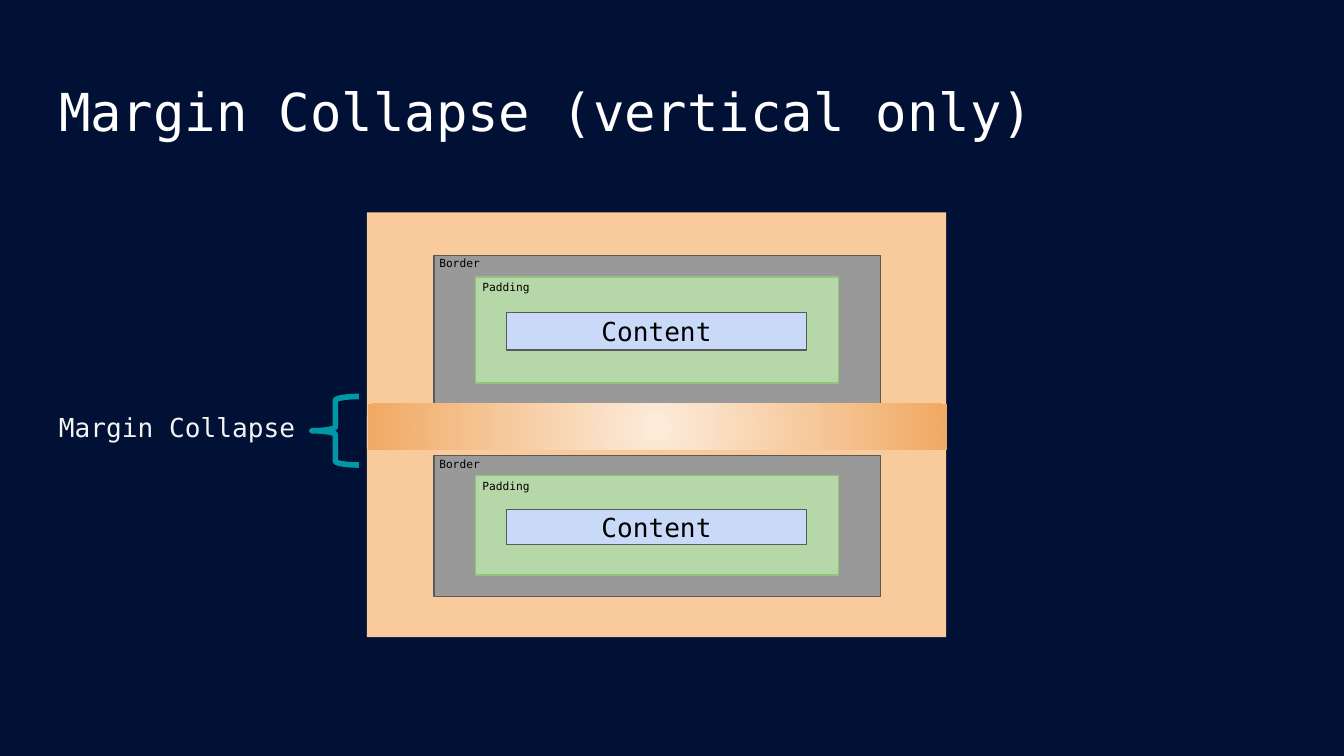
"""Build a slide showing how vertical margins collapse between two boxes."""
from dataclasses import dataclass
from typing import Optional

from lxml import etree
from pptx import Presentation
from pptx.dml.color import RGBColor
from pptx.enum import shapes, text
from pptx.oxml import ns
from pptx.util import Inches, Pt


@dataclass(frozen=True)
class Theme:
    """Hold the colours and type sizes of the slide."""
    font: str = "DejaVu Sans Mono"
    background: str = "011035"
    title: str = "FFFFFF"
    caption: str = "F3F3F3"
    ink: str = "000000"
    margin: str = "F9CB9C"
    border: str = "999999"
    padding: str = "B6D7A8"
    padding_line: str = "93C47D"
    content: str = "C9DAF8"
    outline: str = "595959"
    brace: str = "0097A7"
    glow: tuple[str, str] = ("FDECDB", "F0A963")
    title_size: float = 28
    body_size: float = 14
    label_size: float = 6
    thin: float = 0.75
    thick: float = 3


@dataclass(frozen=True)
class Layer:
    """Describe one nested rectangle, with its top measured from the box."""
    left: float
    top: float
    width: float
    height: float
    fill: str
    line: Optional[str] = None
    label: str = ""


@dataclass(frozen=True)
class Label:
    """Describe a corner label, with its top measured from the box."""
    text: str
    left: float
    top: float
    height: float


@dataclass(frozen=True)
class Box:
    """Place one box model on the slide."""
    top: float
    height: float


THEME = Theme()
MARGIN_LEFT, MARGIN_WIDTH = 2.73, 4.31
BASE_HEIGHT = 1.65
LABEL_WIDTH = 0.79
LAYERS = (
    Layer(MARGIN_LEFT, 0, MARGIN_WIDTH, BASE_HEIGHT, THEME.margin),
    Layer(3.23, 0.3, 3.32, 1.05, THEME.border, THEME.outline),
    Layer(3.54, 0.45, 2.7, 0.74, THEME.padding, THEME.padding_line),
    Layer(3.77, 0.7, 2.23, 0.26, THEME.content, THEME.outline, "Content"),
)
LABELS = (Label("Border", 3.17, 0.21, 0.36), Label("Padding", 3.49, 0.38, 0.26))
LOWER, UPPER = Box(3.09, BASE_HEIGHT), Box(1.58, 1.76)


def rgb(value: str) -> RGBColor:
    """Turn a hex string into a colour."""
    return RGBColor.from_string(value)


def write(sp, words: str, *, size: float, color: str,
          align=text.PP_ALIGN.LEFT, anchor=text.MSO_ANCHOR.TOP) -> None:
    """Put formatted text into a shape."""
    tf = sp.text_frame
    tf.word_wrap = True
    tf.auto_size = text.MSO_AUTO_SIZE.NONE
    tf.vertical_anchor = anchor
    tf.margin_left = tf.margin_right = tf.margin_top = tf.margin_bottom = Inches(0.1)
    p = tf.paragraphs[0]
    p.alignment = align
    r = p.add_run()
    r.text = words
    r.font.name = THEME.font
    r.font.size = Pt(size)
    r.font.color.rgb = rgb(color)


def add_shape(parent, kind, left: float, top: float, width: float, height: float, *,
              fill: Optional[str] = None, line: Optional[str] = None,
              weight: float = THEME.thin):
    """Add a preset shape with a plain fill and outline."""
    sp = parent.add_shape(kind, Inches(left), Inches(top), Inches(width), Inches(height))
    sp.shadow.inherit = False
    if fill:
        sp.fill.solid()
        sp.fill.fore_color.rgb = rgb(fill)
    else:
        sp.fill.background()
    if line:
        sp.line.color.rgb = rgb(line)
        sp.line.width = Pt(weight)
    else:
        sp.line.fill.background()
    return sp


def add_text(parent, words: str, left: float, top: float, width: float,
             height: float, *, size: float, color: str) -> None:
    """Add a text box."""
    sp = parent.add_textbox(Inches(left), Inches(top), Inches(width), Inches(height))
    write(sp, words, size=size, color=color)


def add_box(slide, box: Box) -> None:
    """Draw a grouped box model scaled to the height of its box."""
    group = slide.shapes.add_group_shape().shapes
    scale = box.height / BASE_HEIGHT
    for layer in LAYERS:
        sp = add_shape(group, shapes.MSO_SHAPE.RECTANGLE, layer.left,
                       box.top + layer.top * scale, layer.width, layer.height * scale,
                       fill=layer.fill, line=layer.line)
        if layer.label:
            write(sp, layer.label, size=THEME.body_size, color=THEME.ink,
                  align=text.PP_ALIGN.CENTER, anchor=text.MSO_ANCHOR.MIDDLE)
    for label in LABELS:
        add_text(group, label.text, label.left, box.top + label.top * scale,
                 LABEL_WIDTH, label.height * scale,
                 size=THEME.label_size, color=THEME.ink)


def add_title(slide, words: str) -> None:
    """Move and fill the title placeholder."""
    sp = slide.shapes.title
    sp.left, sp.top, sp.width, sp.height = map(Inches, (0.34, 0.49, 9.32, 0.63))
    write(sp, words, size=THEME.title_size, color=THEME.title)


def add_brace(slide) -> None:
    """Draw the brace that marks the collapsed margin."""
    sp = add_shape(slide.shapes, shapes.MSO_SHAPE.RIGHT_BRACE, 2.32, 2.95, 0.35, 0.51,
                   line=THEME.brace, weight=THEME.thick)
    sp.adjustments[0], sp.adjustments[1] = 0.083, 0.5
    sp.rotation = 180


def add_glow(slide) -> None:
    """Draw the collapsed margin as a band with a radial gradient."""
    sp = add_shape(slide.shapes, shapes.MSO_SHAPE.RECTANGLE, 4.72, 1.02, 0.34, MARGIN_WIDTH)
    sp.rotation = 270
    sp.fill.gradient()
    for stop, color, position in zip(sp.fill.gradient_stops, THEME.glow, (0, 1)):
        stop.color.rgb = rgb(color)
        stop.position = position
    grad = sp.element.spPr.find(ns.qn("a:gradFill"))
    grad.remove(grad.find(ns.qn("a:lin")))
    radial = etree.SubElement(grad, ns.qn("a:path"), {"path": "circle"})
    etree.SubElement(radial, ns.qn("a:fillToRect"), dict.fromkeys("ltrb", "50000"))


def main() -> None:
    """Build and save the slide."""
    prs = Presentation()
    prs.slide_width = Inches(10)
    prs.slide_height = prs.slide_width * 9 // 16
    slide = prs.slides.add_slide(prs.slide_layouts[5])
    slide.background.fill.solid()
    slide.background.fill.fore_color.rgb = rgb(THEME.background)
    add_title(slide, "Margin Collapse (vertical only)")
    add_box(slide, LOWER)
    add_text(slide.shapes, "Margin Collapse", 0.34, 2.96, 1.98, 0.44,
             size=THEME.body_size, color=THEME.caption)
    add_brace(slide)
    add_box(slide, UPPER)
    add_glow(slide)
    prs.save("out.pptx")


if __name__ == "__main__":
    main()
